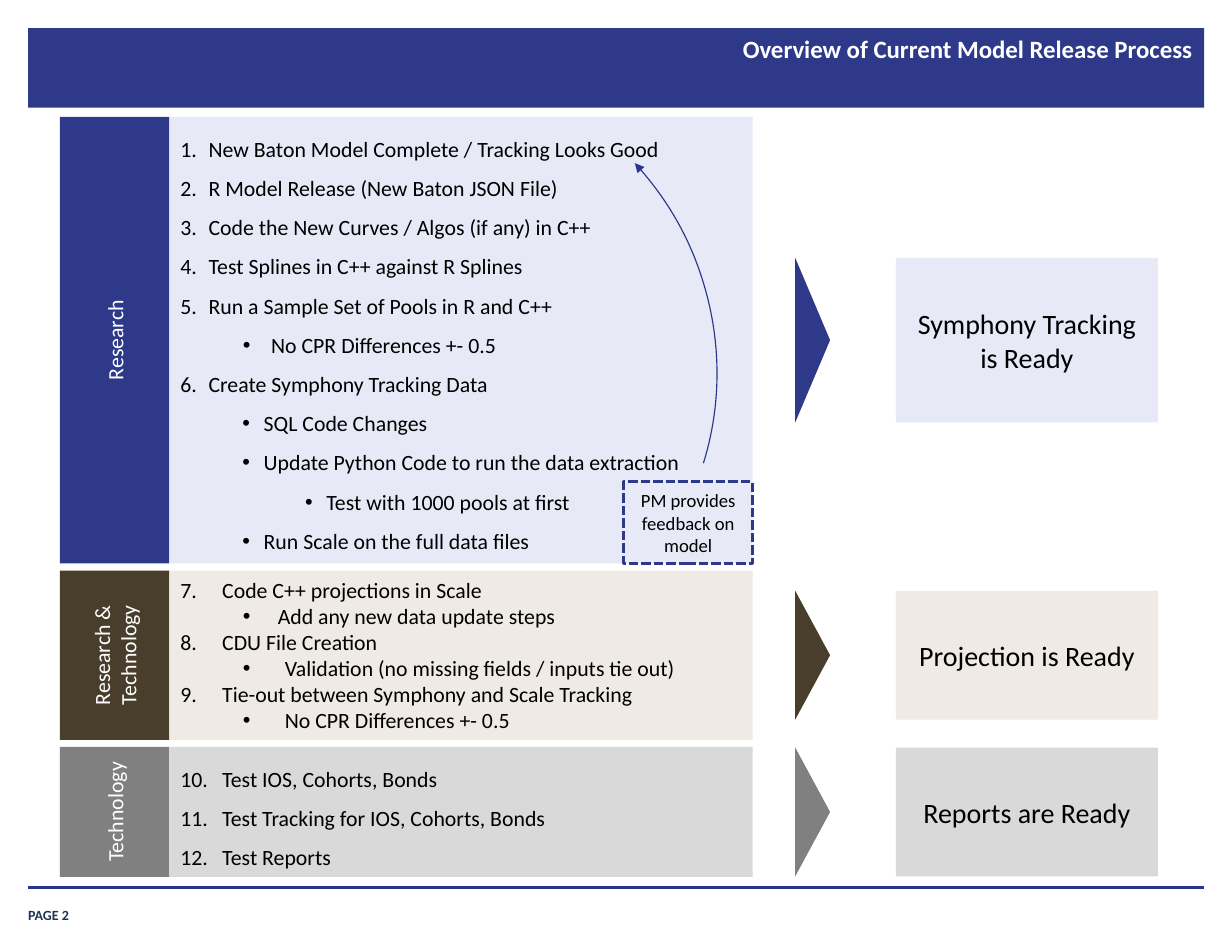
import pptx
import pptx.util
import pptx.dml.color
import pptx.enum.dml
import pptx.enum.shapes
import pptx.enum.text
import pptx.oxml.ns
from lxml import etree

Cm, Pt = pptx.util.Cm, pptx.util.Pt
SHAPE = pptx.enum.shapes.MSO_SHAPE
ALIGN = pptx.enum.text.PP_ALIGN
ANCHOR = pptx.enum.text.MSO_ANCHOR
qn = pptx.oxml.ns.qn

THEME = {
    "font": "Calibri",
    "navy": "2E398A", "rule": "2B3689", "footer": "203353",
    "white": "FFFFFF", "black": "000000",
    "small": 9, "note": 12, "body": 14, "title": 16, "outcome": 18,
}

TITLE = "Overview of Current Model Release Process"
FOOTER = "PAGE 2"
FEEDBACK = "PM provides feedback on model"

# Steps are (level, text left edge in cm, hanging indent in cm, text); level 0 is numbered.
STAGES = [
    {"label": ["Research"], "dark": "2E398A", "light": "E7E9F7", "height": 10.13,
     "first": 1, "spacing": 1.5, "outcome": "Symphony Tracking is Ready", "outcome_height": 3.73,
     "steps": [
         (0, 0.64, 0.64, "New Baton Model Complete / Tracking Looks Good"),
         (0, 0.64, 0.64, "R Model Release (New Baton JSON File)"),
         (0, 0.64, 0.64, "Code the New Curves / Algos (if any) in C++"),
         (0, 0.64, 0.64, "Test Splines in C++ against R Splines"),
         (0, 0.64, 0.64, "Run a Sample Set of Pools in R and C++"),
         (1, 2.06, 0.64, "No CPR Differences +- 0.5"),
         (0, 0.64, 0.64, "Create Symphony Tracking Data"),
         (1, 1.89, 0.48, "SQL Code Changes"),
         (1, 1.89, 0.48, "Update Python Code to run the data extraction"),
         (2, 3.31, 0.48, "Test with 1000 pools at first"),
         (1, 1.89, 0.48, "Run Scale on the full data files")]},
    {"label": ["Research &", "Technology"], "dark": "493E2B", "light": "EFEBE4", "height": 3.84,
     "first": 7, "spacing": 1.0, "outcome": "Projection is Ready", "outcome_height": 2.92,
     "steps": [
         (0, 0.95, 0.95, "Code C++ projections in Scale"),
         (1, 2.21, 0.79, "Add any new data update steps"),
         (0, 0.95, 0.95, "CDU File Creation"),
         (1, 2.37, 0.95, "Validation (no missing fields / inputs tie out)"),
         (0, 0.95, 0.95, "Tie-out between Symphony and Scale Tracking"),
         (1, 2.37, 0.95, "No CPR Differences +- 0.5")]},
    {"label": ["Technology"], "dark": "808080", "light": "D9D9D9", "height": 2.95,
     "first": 10, "spacing": 1.5, "outcome": "Reports are Ready", "outcome_height": 2.92,
     "steps": [
         (0, 0.95, 0.95, "Test IOS, Cohorts, Bonds"),
         (0, 0.95, 0.95, "Test Tracking for IOS, Cohorts, Bonds"),
         (0, 0.95, 0.95, "Test Reports")]},
]

MARGIN, CONTENT_WIDTH = 0.64, 26.67
STAGE_TOP, STAGE_GAP = 2.65, 0.16
LABEL_LEFT, PANEL_LEFT, PANEL_WIDTH = 1.36, 3.84, 13.23
ARROW_CENTER, ARROW_DEPTH = 18.43, 0.79
OUTCOME_LEFT, OUTCOME_WIDTH = 20.32, 5.94
FEEDBACK_WIDTH, FEEDBACK_HEIGHT = 2.92, 1.85
RULE_TOP = 20.12


def rgb(color):
    return pptx.dml.color.RGBColor.from_string(color)


def add_shape(slide, kind, left, top, width, height, fill=None, line=None, weight=1):
    shape = slide.shapes.add_shape(kind, Cm(left), Cm(top), Cm(width), Cm(height))
    shape.shadow.inherit = False
    if fill:
        shape.fill.solid()
        shape.fill.fore_color.rgb = rgb(fill)
    else:
        shape.fill.background()
    if line:
        shape.line.color.rgb = rgb(line)
        shape.line.width = Pt(weight)
    else:
        shape.line.fill.background()
    return shape


def set_marker(paragraph, level, left, hanging, first):
    """Number a level 0 paragraph from first; give deeper ones a round bullet."""
    paragraph.level = level
    properties = paragraph._p.get_or_add_pPr()
    properties.set("marL", str(Cm(left)))
    properties.set("indent", str(-Cm(hanging)))
    if level == 0:
        etree.SubElement(properties, qn("a:buFont"), typeface="+mj-lt")
        etree.SubElement(properties, qn("a:buAutoNum"), type="arabicPeriod", startAt=str(first))
    else:
        etree.SubElement(properties, qn("a:buFont"), typeface="Arial")
        etree.SubElement(properties, qn("a:buChar"), char="•")


def write(shape, lines, size, color=THEME["black"], bold=False, align=ALIGN.CENTER,
          anchor=ANCHOR.MIDDLE, spacing=1.0, insets=(0.25, 0.13), markers=None, first=1,
          vertical=False):
    frame = shape.text_frame
    frame.word_wrap = True
    frame.auto_size = pptx.enum.text.MSO_AUTO_SIZE.NONE
    frame.vertical_anchor = anchor
    frame.margin_left = frame.margin_right = Cm(insets[0])
    frame.margin_top = frame.margin_bottom = Cm(insets[1])
    if vertical:
        frame._txBody.bodyPr.set("vert", "vert270")
    for index, line in enumerate(lines):
        paragraph = frame.add_paragraph() if index else frame.paragraphs[0]
        paragraph.alignment = align
        paragraph.line_spacing = spacing
        if markers:
            set_marker(paragraph, *markers[index], first)
        paragraph.font.size = Pt(size)
        run = paragraph.add_run()
        run.text = line
        run.font.name = THEME["font"]
        run.font.size = Pt(size)
        run.font.bold = bold
        run.font.color.rgb = rgb(color)


def add_frame(slide):
    """Banner, title, rule and page number."""
    banner = add_shape(slide, SHAPE.RECTANGLE, MARGIN, MARGIN, CONTENT_WIDTH, 1.8, THEME["navy"])
    title = slide.shapes.title
    title.element.addprevious(banner.element)
    title.left, title.top, title.width, title.height = Cm(8.43), Cm(0.61), Cm(18.9), Cm(1.88)
    write(title, [TITLE], THEME["title"], THEME["white"], bold=True, align=ALIGN.RIGHT,
          anchor=ANCHOR.TOP, insets=(0.28, 0.15))
    rule = slide.shapes.add_connector(pptx.enum.shapes.MSO_CONNECTOR.STRAIGHT, Cm(MARGIN),
                                      Cm(RULE_TOP), Cm(MARGIN + CONTENT_WIDTH), Cm(RULE_TOP))
    rule.line.color.rgb = rgb(THEME["rule"])
    rule.line.width = Pt(2)
    etree.SubElement(rule.element.spPr, qn("a:effectLst"))
    footer = slide.shapes.add_textbox(Cm(MARGIN), Cm(20.37), Cm(2.31), Cm(0.58))
    write(footer, [FOOTER], THEME["small"], THEME["footer"], bold=True, align=ALIGN.LEFT,
          anchor=ANCHOR.BOTTOM, insets=(0, 0))


def add_stage(slide, stage, top):
    height, middle = stage["height"], top + stage["height"] / 2
    panel = add_shape(slide, SHAPE.RECTANGLE, PANEL_LEFT, top, PANEL_WIDTH, height, stage["light"])
    write(panel, [step[3] for step in stage["steps"]], THEME["body"], align=ALIGN.LEFT,
          anchor=ANCHOR.TOP, spacing=stage["spacing"],
          markers=[step[:3] for step in stage["steps"]], first=stage["first"])
    label = add_shape(slide, SHAPE.RECTANGLE, LABEL_LEFT, top, PANEL_LEFT - LABEL_LEFT, height,
                      stage["dark"])
    write(label, stage["label"], THEME["body"], THEME["white"], vertical=True)

    span = stage["outcome_height"]
    arrow = add_shape(slide, SHAPE.ISOSCELES_TRIANGLE, ARROW_CENTER - span / 2,
                      middle - ARROW_DEPTH / 2, span, ARROW_DEPTH, stage["dark"])
    arrow.rotation = 90
    outcome = add_shape(slide, SHAPE.RECTANGLE, OUTCOME_LEFT, middle - span / 2, OUTCOME_WIDTH,
                        span, stage["light"])
    write(outcome, [stage["outcome"]], THEME["outcome"])


def add_feedback(slide):
    """Dashed note in the corner of the first panel, with a curved arrow to step 1."""
    arc = add_shape(slide, SHAPE.ARC, 2.34, 1.47, 14, 13.69, line=THEME["rule"], weight=0.75)
    arc.rotation = 45.7
    arc.adjustments[0], arc.adjustments[1] = 163.16, 199.59
    etree.SubElement(arc.line._get_or_add_ln(), qn("a:headEnd"), type="triangle")
    note = add_shape(slide, SHAPE.RECTANGLE, PANEL_LEFT + PANEL_WIDTH - FEEDBACK_WIDTH,
                     STAGE_TOP + STAGES[0]["height"] - FEEDBACK_HEIGHT,
                     FEEDBACK_WIDTH, FEEDBACK_HEIGHT, line=THEME["navy"], weight=2)
    note.line.dash_style = pptx.enum.dml.MSO_LINE.SQUARE_DOT
    write(note, [FEEDBACK], THEME["note"])


def main():
    presentation = pptx.Presentation()
    presentation.slide_width, presentation.slide_height = Cm(27.94), Cm(21.59)
    slide = presentation.slides.add_slide(presentation.slide_layouts.get_by_name("Title Only"))
    add_frame(slide)
    top = STAGE_TOP
    for stage in STAGES:
        add_stage(slide, stage, top)
        top += stage["height"] + STAGE_GAP
    add_feedback(slide)
    presentation.save("out.pptx")


if __name__ == "__main__":
    main()
